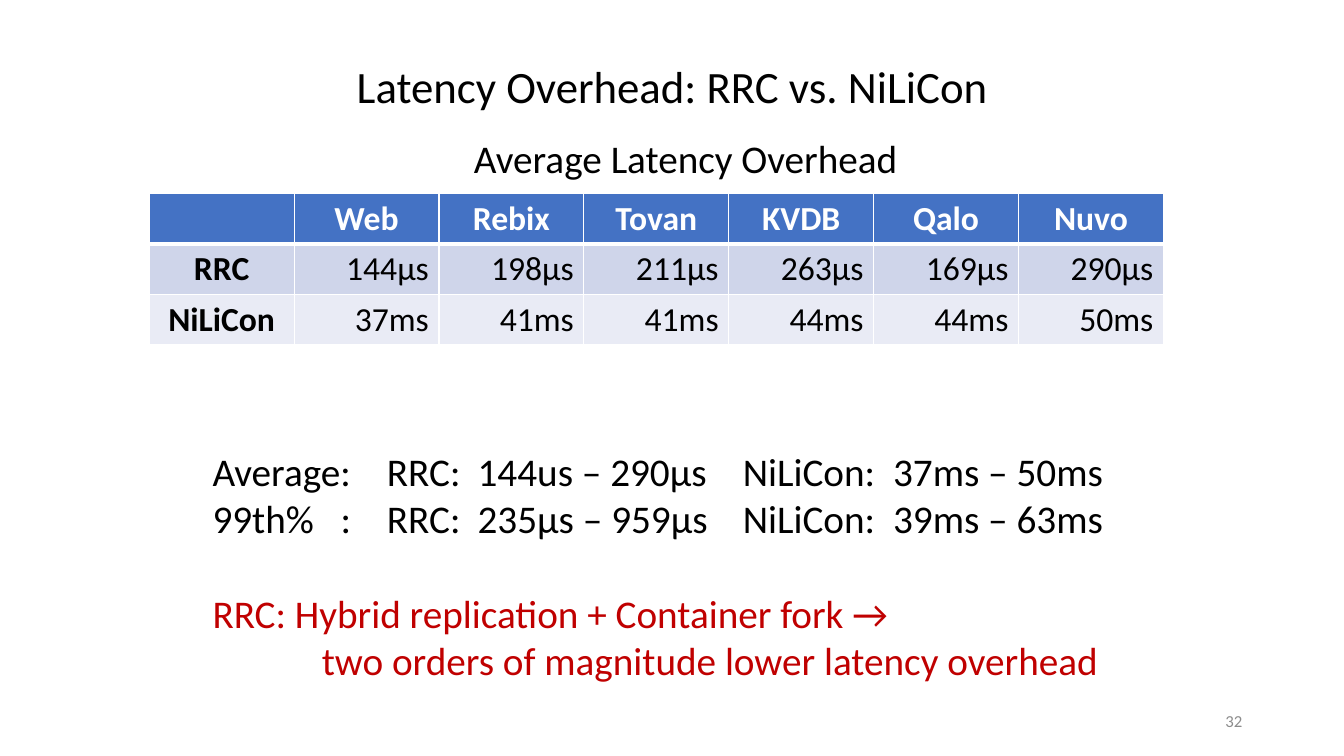
from lxml import etree
from pptx import Presentation
from pptx import util as u
from pptx.dml.color import RGBColor
from pptx.enum import text
from pptx.oxml.ns import qn

AL, ANC = text.PP_ALIGN, text.MSO_ANCHOR


def style(p, size, color, align=AL.LEFT, bold=False):
    p.alignment = align
    for r in p.runs:
        r.font.name = "Calibri"
        r.font.size = u.Pt(size)
        r.font.bold = bold
        r.font.color.rgb = RGBColor.from_string(color)


def add_text(left, top, width, height, lines, anchor=ANC.TOP):
    tf = s.shapes.add_textbox(*map(u.Inches, (left, top, width, height))).text_frame
    tf.word_wrap = True
    tf.vertical_anchor = anchor
    for i, (line, *look) in enumerate(lines):
        p = tf.add_paragraph() if i else tf.paragraphs[0]
        p.text = line
        style(p, *look)
    return tf


prs = Presentation()
prs.slide_width, prs.slide_height = u.Inches(13.33), u.Inches(7.5)
s = prs.slides.add_slide(prs.slide_layouts[6])

tf = add_text(0.92, 0.16, 11.5, 1.45,
              [("Latency Overhead: RRC vs. NiLiCon", 32, "000000", AL.CENTER)], ANC.MIDDLE)
tf.paragraphs[0].line_spacing = 0.9

rows = [
    ["", "Web", "Rebix", "Tovan", "KVDB", "Qalo", "Nuvo"],
    ["RRC", "144μs", "198μs", "211μs", "263μs", "169μs", "290μs"],
    ["NiLiCon", "37ms", "41ms", "41ms", "44ms", "44ms", "50ms"],
]
fills = ["4472C4", "CFD5EA", "E9EBF5"]
row_h = 0.5
tbl = s.shapes.add_table(len(rows), len(rows[0]), u.Inches(1.48), u.Inches(1.92),
                         u.Inches(10.06), u.Inches(row_h * len(rows))).table
for i, row in enumerate(rows):
    tbl.rows[i].height = u.Inches(row_h)
    for j, value in enumerate(row):
        cell = tbl.cell(i, j)
        cell.text = value
        style(cell.text_frame.paragraphs[0], 24, "000000" if i else "FFFFFF",
              AL.RIGHT if i and j else AL.CENTER, not (i and j))
        tcPr = cell._tc.get_or_add_tcPr()
        for side in "LRTB":
            thick = (side, i) in (("B", 0), ("T", 1))
            ln = etree.SubElement(tcPr, qn("a:ln" + side), w=str(u.Pt(3 if thick else 1)))
            fill = etree.SubElement(ln, qn("a:solidFill"))
            etree.SubElement(fill, qn("a:srgbClr"), val="FFFFFF")
        cell.fill.solid()
        cell.fill.fore_color.rgb = RGBColor.from_string(fills[i])

add_text(9.42, 6.95, 3, 0.4, [("32", 12, "8C8C8C", AL.RIGHT)], ANC.MIDDLE)
add_text(2.73, 1.28, 8.14, 0.57,
         [("Average Latency Overhead", 28, "000000", AL.CENTER)])

tf = add_text(2.01, 4.39, 10.06, 2.46, [
    ("Average:\tRRC:\t144us – 290µs\tNiLiCon:\t37ms – 50ms", 28, "000000"),
    ("99th%\t:\tRRC:\t235µs – 959µs\tNiLiCon:\t39ms – 63ms", 28, "000000"),
    ("RRC: Hybrid replication + Container fork →", 28, "C00000"),
    ("two orders of magnitude lower latency overhead", 28, "C00000", AL.CENTER),
])
stops = [1.73, 2.63, 5.26, 6.75]
for p, tabs in zip(tf.paragraphs, (stops, [1.27] + stops)):
    tabLst = etree.SubElement(p._p.get_or_add_pPr(), qn("a:tabLst"))
    for pos in tabs:
        etree.SubElement(tabLst, qn("a:tab"), pos=str(u.Inches(pos)), algn="l")
tf.paragraphs[2].space_before = u.Pt(34)

prs.save("out.pptx")
